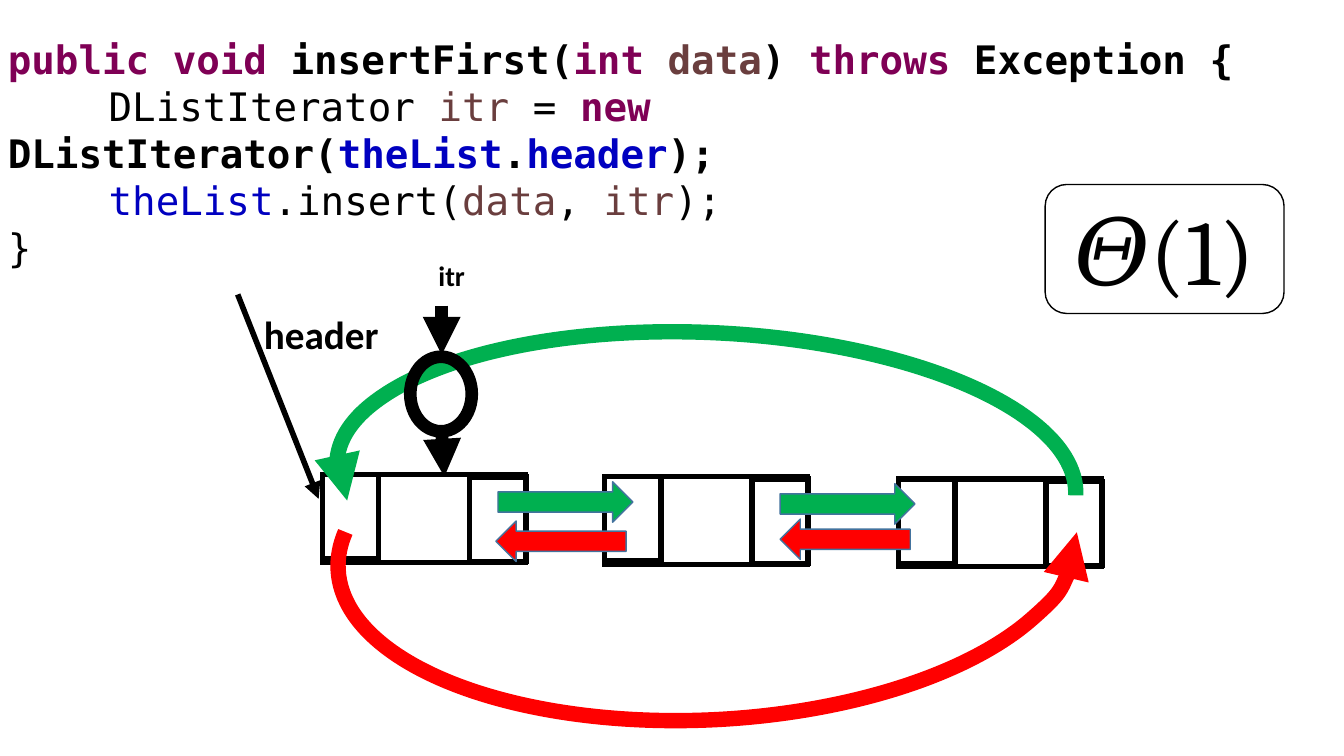
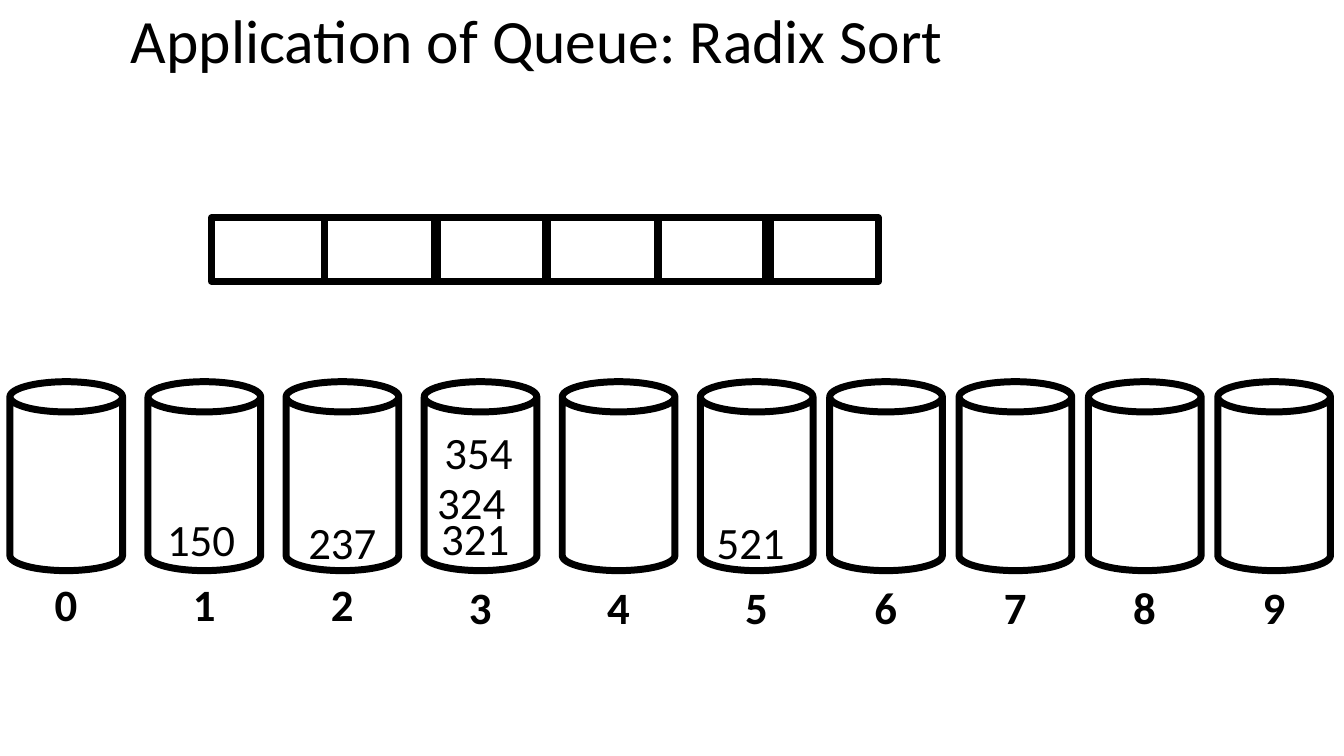
from lxml import etree
from pptx import Presentation
from pptx import util as u
from pptx.dml.color import RGBColor
from pptx.enum import shapes, text
from pptx.oxml.ns import qn

BLACK, GREEN, RED, EDGE = "000000", "00B050", "FF0000", "43739E"
KEYWORD, VARIABLE, FIELD = "7F0055", "6A3E3E", "0000C0"
SANS, SERIF, MONO = "Calibri", "Cambria", "DejaVu Sans Mono"
SHAPE = shapes.MSO_SHAPE

# Code lines as runs of (text, colour, bold)
CODE = [
    [("public void ", KEYWORD, True), ("insertFirst(", BLACK, True),
     ("int ", KEYWORD, True), ("data", VARIABLE, True), (") ", BLACK, True),
     ("throws", KEYWORD, True), (" Exception {", BLACK, True)],
    [("\tDListIterator ", BLACK, False), ("itr", VARIABLE, False),
     (" = ", BLACK, False), ("new ", KEYWORD, True),
     ("DListIterator(", BLACK, True), ("theList", FIELD, True),
     (".", BLACK, True), ("header", FIELD, True), (");", BLACK, True)],
    [("\ttheList", FIELD, False), (".insert(", BLACK, False),
     ("data", VARIABLE, False), (", ", BLACK, False),
     ("itr", VARIABLE, False), (");", BLACK, False)],
    [("}", BLACK, False)],
]
CODE_TAB = 2.54
COST = ["\U0001D6E9", "(1)"]
COST_GAP = 14

# Linked list, in centimetres
NODES = [(8.13, 11.96), (15.24, 12.01), (22.65, 12.07)]
NODE_SIZE, LINK_CELL, NEXT_OFFSET = (5.11, 2.21), (1.42, 2.13), (3.71, 0.06)
NEXT_ARROWS = [(12.55, 12.14, 3.4, 1.02), (19.66, 12.19, 3.4, 1.02)]
PREV_ARROWS = [(12.5, 13.13, 3.28, 1.02), (19.66, 13.08, 3.28, 1.02)]
# Wrap-around arcs: box, colour, rotation, flipped, arrow end
ARCS = [((8.48, 8.38, 18.64, 7.39), GREEN, 2.5, False, "headEnd"),
        ((8.51, 9.63, 18.64, 8.51), RED, 357.1, True, "tailEnd")]
ARC_START = 104.457
HEADER_POINTER = (5.99, 7.42, 8.03, 12.57)
ITERATOR_POINTERS = [(11.13, 10.87, 11.2, 12.01), (11.13, 7.7, 11.13, 8.94)]
ITERATOR_RING = (10.34, 8.99, 1.55, 1.88)

# Radix sort, in centimetres
TITLE = "Application of Queue: Radix Sort"
CELL_LEFTS = [5.33, 8.18, 10.95, 13.74, 16.59, 19.3]
CELL_TOP, CELL_W, CELL_H = 5.49, 2.84, 1.6
BUCKET_COUNT, WIDE_COUNT = 10, 5
WIDE_STEP, NARROW_STEP = 3.48, 3.26
BUCKET_LEFT, BUCKET_TOP, BUCKET_W, BUCKET_H = 0.25, 9.62, 2.84, 4.76
QUEUED = [("321", 10.87, 12.75), ("521", 17.81, 12.85),
          ("354", 10.95, 10.57), ("324", 10.77, 11.84),
          ("150", 3.96, 12.78), ("237", 7.52, 12.85)]


def rgb(code):
    """Turn a hex string into a colour."""
    return RGBColor.from_string(code)


def cm(values):
    """Turn plain numbers into lengths."""
    return [u.Cm(v) for v in values]


def line_part(sp, tag, **attrs):
    """Add a join or an arrowhead to the line of a shape."""
    ln = sp._element.spPr.find(qn("a:ln"))
    part = etree.SubElement(ln, qn("a:" + tag))
    for key, value in attrs.items():
        part.set(key, value)


def shape(s, kind, box, width, line=BLACK, fill=None):
    """Add an outlined shape, filled only when a colour is given."""
    sp = s.shapes.add_shape(kind, *cm(box))
    sp.shadow.inherit = False
    if fill:
        sp.fill.solid()
        sp.fill.fore_color.rgb = rgb(fill)
    else:
        sp.fill.background()
    sp.line.color.rgb = rgb(line)
    sp.line.width = u.Pt(width)
    return sp


def pointer(s, ends, width):
    """Add a straight black arrow."""
    c = s.shapes.add_connector(shapes.MSO_CONNECTOR.STRAIGHT, *cm(ends))
    c.line.color.rgb = rgb(BLACK)
    c.line.width = u.Pt(width)
    line_part(c, "tailEnd", type="triangle")
    etree.SubElement(c._element.spPr, qn("a:effectLst"))


def style(r, size, font=SANS, color=BLACK, bold=False):
    """Format one run."""
    r.font.size = u.Pt(size)
    r.font.name = font
    r.font.bold = bold
    r.font.color.rgb = rgb(color)


def label(s, words, box, size, bold=False, align=text.PP_ALIGN.LEFT):
    """Add a one-line text box and return its frame."""
    tf = s.shapes.add_textbox(*cm(box)).text_frame
    tf.word_wrap = True
    tf.text = words
    p = tf.paragraphs[0]
    p.alignment = align
    style(p.runs[0], size, bold=bold)
    return tf


def tab_stop(p, position):
    """Give a paragraph one left tab stop."""
    stops = etree.SubElement(p._p.get_or_add_pPr(), qn("a:tabLst"))
    stop = etree.SubElement(stops, qn("a:tab"))
    stop.set("pos", str(int(u.Cm(position))))
    stop.set("algn", "l")


def code_block(s, lines, box):
    """Add coloured code, one paragraph a line."""
    tf = s.shapes.add_textbox(*cm(box)).text_frame
    tf.word_wrap = True
    for i, runs in enumerate(lines):
        p = tf.add_paragraph() if i else tf.paragraphs[0]
        tab_stop(p, CODE_TAB)
        for words, color, bold in runs:
            r = p.add_run()
            r.text = words
            style(r, 28, MONO, color, bold)


def cost_box(s, box):
    """Add the rounded box with the running time."""
    tf = shape(s, SHAPE.ROUNDED_RECTANGLE, box, 1).text_frame
    tf.vertical_anchor = text.MSO_ANCHOR.MIDDLE
    p = tf.paragraphs[0]
    p.alignment = text.PP_ALIGN.CENTER
    for words in COST:
        r = p.add_run()
        r.text = words
        style(r, 66, SERIF)
    p.runs[0]._r.get_or_add_rPr().set("spc", str(COST_GAP * 100))


def node(s, x, y):
    """Draw a list node with its previous and next cells."""
    dx, dy = NEXT_OFFSET
    for box in ((x, y, *NODE_SIZE), (x, y, *LINK_CELL),
                (x + dx, y + dy, *LINK_CELL)):
        line_part(shape(s, SHAPE.RECTANGLE, box, 3.75), "miter", lim="800000")


def insert_slide(s):
    """Draw insertion at the front of a circular list."""
    code_block(s, CODE, (-0.05, 0.76, 33.86, 5.05))
    pointer(s, HEADER_POINTER, 4)
    for x, y in NODES:
        node(s, x, y)
    for box in NEXT_ARROWS:
        shape(s, SHAPE.RIGHT_ARROW, box, 1, EDGE, GREEN)
    for box in PREV_ARROWS:
        sp = shape(s, SHAPE.RIGHT_ARROW, box, 1, EDGE, RED)
        sp._element.spPr.xfrm.set("flipH", "1")
    for box, color, angle, flipped, end in ARCS:
        sp = shape(s, SHAPE.ARC, box, 11, color)
        sp.adjustments[0] = ARC_START
        sp.rotation = angle
        if flipped:
            sp._element.spPr.xfrm.set("flipV", "1")
        line_part(sp, end, type="triangle")
    label(s, "header", (6.4, 7.7, 5.44, 1.55), 28, bold=True)
    shape(s, SHAPE.OVAL, ITERATOR_RING, 9)
    for ends in ITERATOR_POINTERS:
        pointer(s, ends, 9)
    label(s, "itr", (10.8, 6.4, 1.96, 1.32), 20, bold=True)
    cost_box(s, (26.34, 4.65, 6.02, 3.25))


def radix_slide(s):
    """Draw the array and the ten numbered buckets."""
    tf = label(s, TITLE, (3.05, -0.74, 29.21, 3.68), 44)
    tf.vertical_anchor = text.MSO_ANCHOR.MIDDLE
    tf.paragraphs[0].line_spacing = 0.9
    for x in CELL_LEFTS:
        shape(s, SHAPE.RECTANGLE, (x, CELL_TOP, CELL_W, CELL_H), 5)
    for value, x, y in QUEUED:
        label(s, value, (x, y, 2.6, 1.63), 32)
    for i in range(BUCKET_COUNT):
        wide = min(i, WIDE_COUNT)
        x = BUCKET_LEFT + wide * WIDE_STEP + (i - wide) * NARROW_STEP
        sp = shape(s, SHAPE.CAN, (x, BUCKET_TOP, BUCKET_W, BUCKET_H), 5)
        sp.adjustments[0] = 0.268
        y = 14.4 if i < 3 else 14.48
        label(s, str(i), (x + 0.64, y, 1.55, 1.63), 32, True,
              text.PP_ALIGN.CENTER)


prs = Presentation()
prs.slide_width, prs.slide_height = cm((33.87, 19.05))
for draw in (insert_slide, radix_slide):
    draw(prs.slides.add_slide(prs.slide_layouts[6]))
prs.save("out.pptx")
